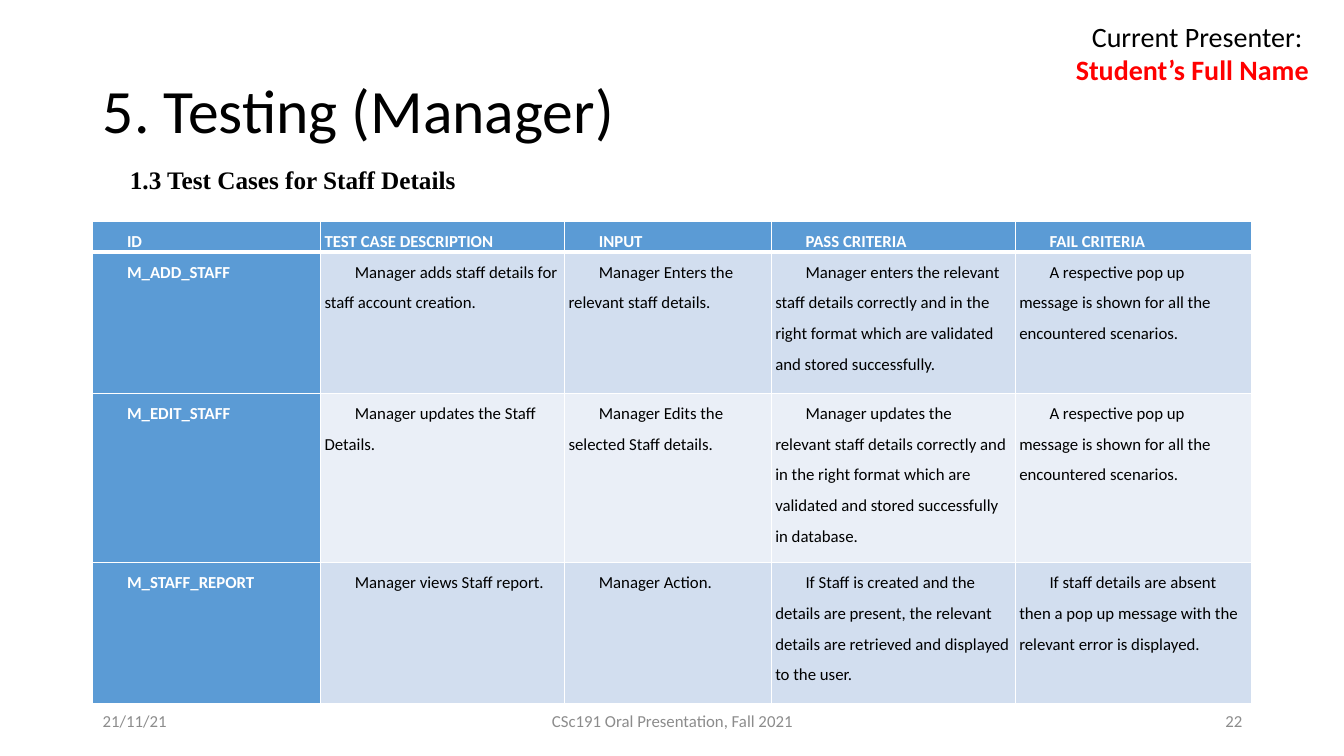
"""Build the staff details test case slide."""
import pptx
import pptx.dml.color
import pptx.enum.text
import pptx.oxml
import pptx.oxml.ns
import pptx.util

PX = 9144
ALIGN = pptx.enum.text.PP_ALIGN
ANCHOR = pptx.enum.text.MSO_ANCHOR
COLORS = {
    "text": "000000", "white": "FFFFFF", "accent": "FF0000", "footer": "8C8C8C",
    "header": "5B9BD5", "band_dark": "D2DEEF", "band_light": "EAEFF7",
}
COLUMN_WIDTHS = [226, 242, 205, 242, 234]
ROW_HEIGHTS = [28, 140, 168, 140]
TEST_CASES = [
    ["ID", "TEST CASE DESCRIPTION", "INPUT", "PASS CRITERIA", "FAIL CRITERIA"],
    ["M_ADD_STAFF",
     "Manager adds staff details for staff account creation.",
     "Manager Enters the relevant staff details.",
     "Manager enters the relevant staff details correctly and in the right format "
     "which are validated and stored successfully.",
     "A respective pop up message is shown for all the encountered scenarios."],
    ["M_EDIT_STAFF",
     "Manager updates the Staff Details.",
     "Manager Edits the selected Staff details.",
     "Manager updates the relevant staff details correctly and in the right format "
     "which are validated and stored successfully in database.",
     "A respective pop up message is shown for all the encountered scenarios."],
    ["M_STAFF_REPORT",
     "Manager views Staff report.",
     "Manager Action.",
     "If Staff is created and the details are present, the relevant details are "
     "retrieved and displayed to the user.",
     "If staff details are absent then a pop up message with the relevant error "
     "is displayed."],
]


def px(n):
    return pptx.util.Emu(n * PX)


def rgb(name):
    return pptx.dml.color.RGBColor.from_string(COLORS[name])


class SlideBuilder:
    def __init__(self, prs):
        self.font = "Calibri"
        self.slide = prs.slides.add_slide(prs.slide_layouts[5])

    def style(self, p, size, color="text", bold=False, align=ALIGN.LEFT, font=None):
        p.alignment = align
        p.font.name = font or self.font
        p.font.size = pptx.util.Pt(size)
        p.font.bold = bold
        p.font.color.rgb = rgb(color)

    def title(self, text, box):
        sp = self.slide.shapes.title
        sp.left, sp.top, sp.width, sp.height = map(px, box)
        tf = sp.text_frame
        tf.text = text
        tf.auto_size = pptx.enum.text.MSO_AUTO_SIZE.NONE
        tf.vertical_anchor = ANCHOR.MIDDLE
        p = tf.paragraphs[0]
        self.style(p, 44)
        p.line_spacing = 0.9

    def text(self, lines, box, anchor=ANCHOR.TOP):
        tf = self.slide.shapes.add_textbox(*map(px, box)).text_frame
        tf.word_wrap = True
        tf.vertical_anchor = anchor
        tf.text = "\n".join(text for text, _ in lines)
        for p, (_, style) in zip(tf.paragraphs, lines):
            self.style(p, **style)

    def borders(self, cell, widths):
        tcPr = cell._tc.get_or_add_tcPr()
        for side, width in widths.items():
            tcPr.append(pptx.oxml.parse_xml(
                f'<a:ln{side} {pptx.oxml.ns.nsdecls("a")} w="{pptx.util.Pt(width)}">'
                f'<a:solidFill><a:srgbClr val="{COLORS["white"]}"/></a:solidFill>'
                f'</a:ln{side}>'))

    def cell(self, cell, text, row, col):
        heading = row == 0 or col == 0
        self.borders(cell, {"L": 1, "R": 1, "T": 3 if row == 1 else 1,
                            "B": 3 if row == 0 else 1})
        cell.fill.solid()
        band = "band_dark" if row % 2 else "band_light"
        cell.fill.fore_color.rgb = rgb("header" if heading else band)
        cell.margin_left = cell.margin_right = px(4)
        cell.margin_top = cell.margin_bottom = 0
        cell.text = text
        p = cell.text_frame.paragraphs[0]
        self.style(p, 12, "white" if heading else "text", heading)
        p.line_spacing = 1.5
        if (row, col) != (0, 1):
            pPr = p._p.get_or_add_pPr()
            pPr.set("marL", "0")
            pPr.set("indent", str(px(30)))

    def table(self, rows, widths, heights, left, top):
        table = self.slide.shapes.add_table(
            len(rows), len(widths), px(left), px(top),
            px(sum(widths)), px(sum(heights))).table
        for column, width in zip(table.columns, widths):
            column.width = px(width)
        for i, (texts, height) in enumerate(zip(rows, heights)):
            table.rows[i].height = px(height)
            for j, text in enumerate(texts):
                self.cell(table.cell(i, j), text, i, j)


def main():
    prs = pptx.Presentation()
    prs.slide_width, prs.slide_height = px(1333), px(750)
    s = SlideBuilder(prs)
    s.title("5. Testing (Manager)", (92, 40, 1150, 145))
    presenter = {"size": 20, "align": ALIGN.RIGHT}
    s.text([("Current Presenter: ", presenter),
            ("Student’s Full Name", {**presenter, "color": "accent", "bold": True})],
           (1027, 14, 281, 77))
    for text, left, width, align in [
        ("21/11/21", 92, 300, ALIGN.LEFT),
        ("CSc191 Oral Presentation, Fall 2021", 442, 450, ALIGN.CENTER),
        ("22", 942, 300, ALIGN.RIGHT),
    ]:
        s.text([(text, {"size": 12, "color": "footer", "align": align})],
               (left, 695, width, 40), ANCHOR.MIDDLE)
    s.table(TEST_CASES, COLUMN_WIDTHS, ROW_HEIGHTS, 92, 220)
    s.text([("1.3 Test Cases for Staff Details",
             {"size": 18, "bold": True, "font": "Times New Roman"})],
           (119, 158, 567, 71))
    prs.save("out.pptx")


if __name__ == "__main__":
    main()
